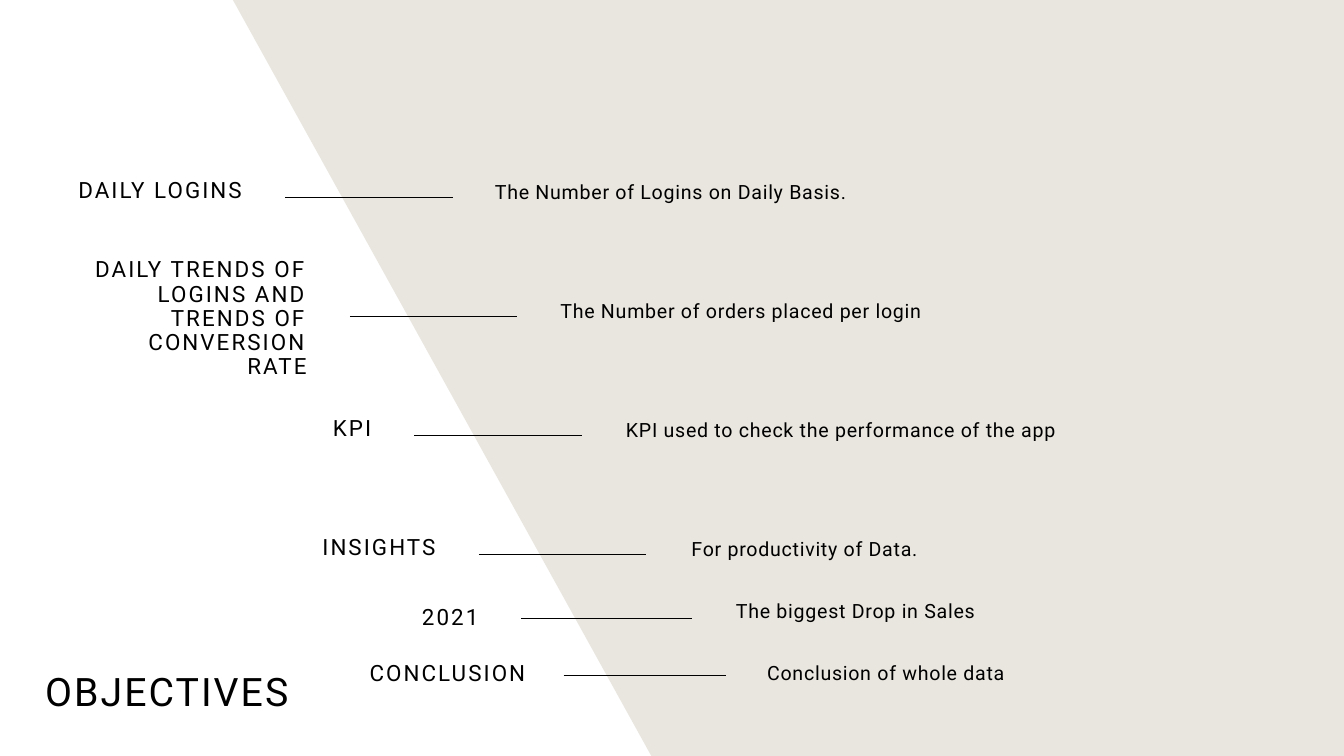
from pptx import Presentation
from pptx.util import Inches, Pt
from pptx.dml.color import RGBColor
from pptx.enum.shapes import MSO_CONNECTOR as Conn
from pptx.enum.text import PP_ALIGN as Align, MSO_ANCHOR as Anchor
from pptx.oxml.ns import qn
from lxml import etree

BLACK, SAND = "000000", "E9E6DF"
SLOPE = [(6.46, 7.5), (2.31, 0), (13.33, 0), (13.33, 7.5)]
STEPS = [
    ("DAILY LOGINS", 0.56, "The Number of Logins on Daily Basis."),
    ("DAILY TRENDS OF LOGINS AND TRENDS OF CONVERSION RATE", 0.73,
     "The Number of orders placed per login"),
    ("KPI", 0.56, "KPI used to check the performance of the app"),
    ("INSIGHTS", 0.56, "For productivity of Data."),
]
EXTRAS = [
    ("2021 ", (2.58, 5.85), (5.17, 6.13, 1.69), "The biggest Drop in Sales", (7.2, 5.89)),
    ("CONCLUSION", (2.97, 6.41), (5.59, 6.7, 1.61), "Conclusion of whole data", (7.51, 6.51)),
]
LABEL = dict(size=16, track=1.5, align=Align.RIGHT, anchor=Anchor.MIDDLE, lead=0.9, before=10)
NOTE = dict(size=14, track=0.5, before=10)

deck = Presentation()
deck.slide_width, deck.slide_height = Inches(13.33), Inches(7.5)
slide = deck.slides.add_slide(deck.slide_layouts[6])
shapes = slide.shapes


def color(code):
    return RGBColor.from_string(code)


def write(text, x, y, w, h, size=14, track=0, align=Align.LEFT,
          anchor=Anchor.TOP, lead=None, before=0):
    box = shapes.add_textbox(Inches(x), Inches(y), Inches(w), Inches(h))
    frame = box.text_frame
    frame.word_wrap = True
    frame.vertical_anchor = anchor
    para = frame.paragraphs[0]
    para.alignment = align
    para.space_before = Pt(before)
    if lead:
        para.line_spacing = lead
    run = para.add_run()
    run.text = text
    run.font.name = "Roboto"
    run.font.size = Pt(size)
    run.font.color.rgb = color(BLACK)
    run.font._element.set("spc", str(int(track * 100)))


def rule(x, y, w):
    line = shapes.add_connector(Conn.STRAIGHT, Inches(x), Inches(y), Inches(x + w), Inches(y))
    line.line.color.rgb = color(BLACK)
    line.line.width = Pt(0.5)
    etree.SubElement(line._element.spPr, qn("a:effectLst"))


points = [(Inches(x), Inches(y)) for x, y in SLOPE]
pen = shapes.build_freeform(*points[0])
pen.add_line_segments(points[1:], close=True)
panel = pen.convert_to_shape()
panel.shadow.inherit = False
panel.fill.solid()
panel.fill.fore_color.rgb = color(SAND)
panel.line.fill.background()

write("OBJECTIVES", 0.35, 6.56, 4.46, 0.64, size=28, track=1.5, anchor=Anchor.MIDDLE, lead=0.9)

for i, (label, high, note) in enumerate(STEPS):
    drop = 1.18 * i
    write(label, 0.16 + 0.64 * i, 1.62 + drop, 2.34, high, **LABEL)
    rule(2.83 + 0.64 * i, 1.96 + drop, 1.66)
    write(note, 4.81 + 0.65 * i, 1.74 + drop, 6.06, 1.11, **NOTE)

for label, spot, dash, note, place in EXTRAS:
    write(label, *spot, 2.34, 0.56, **LABEL)
    rule(*dash)
    write(note, *place, 3.08, 0.55, **NOTE)

deck.save("out.pptx")
